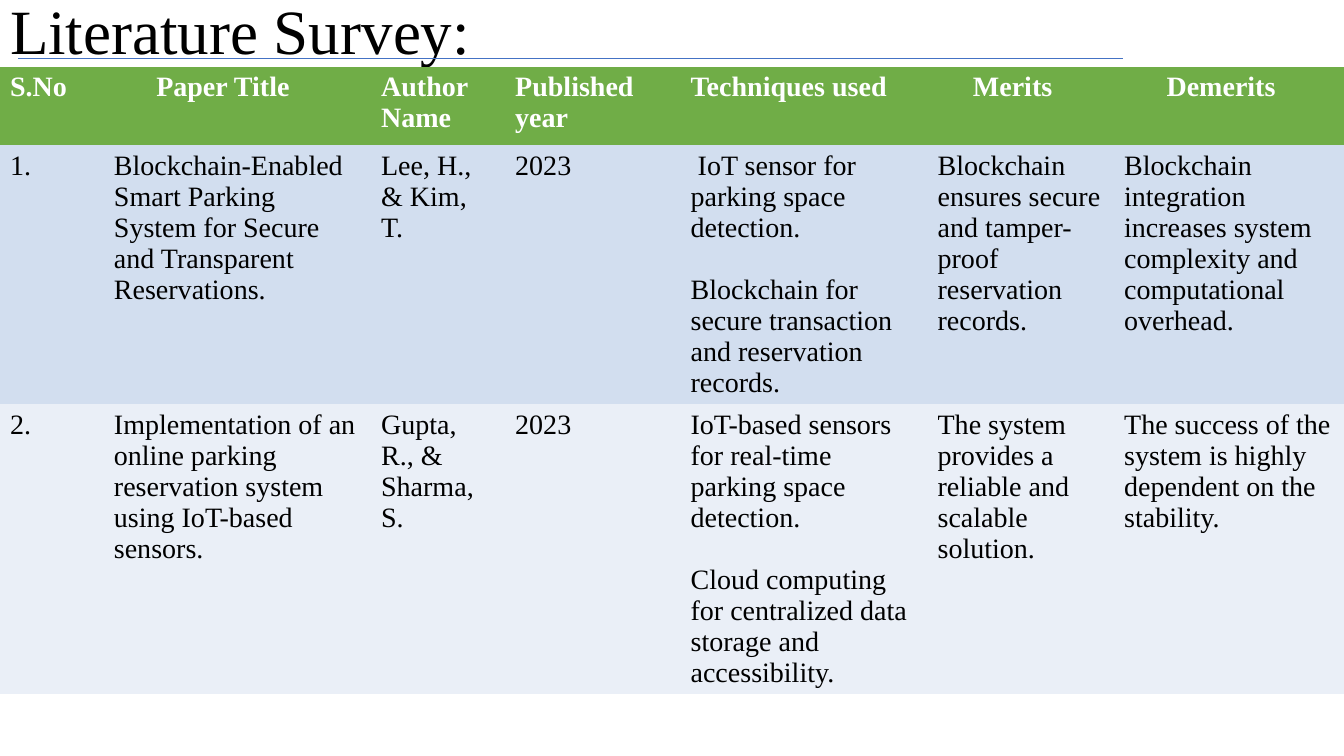
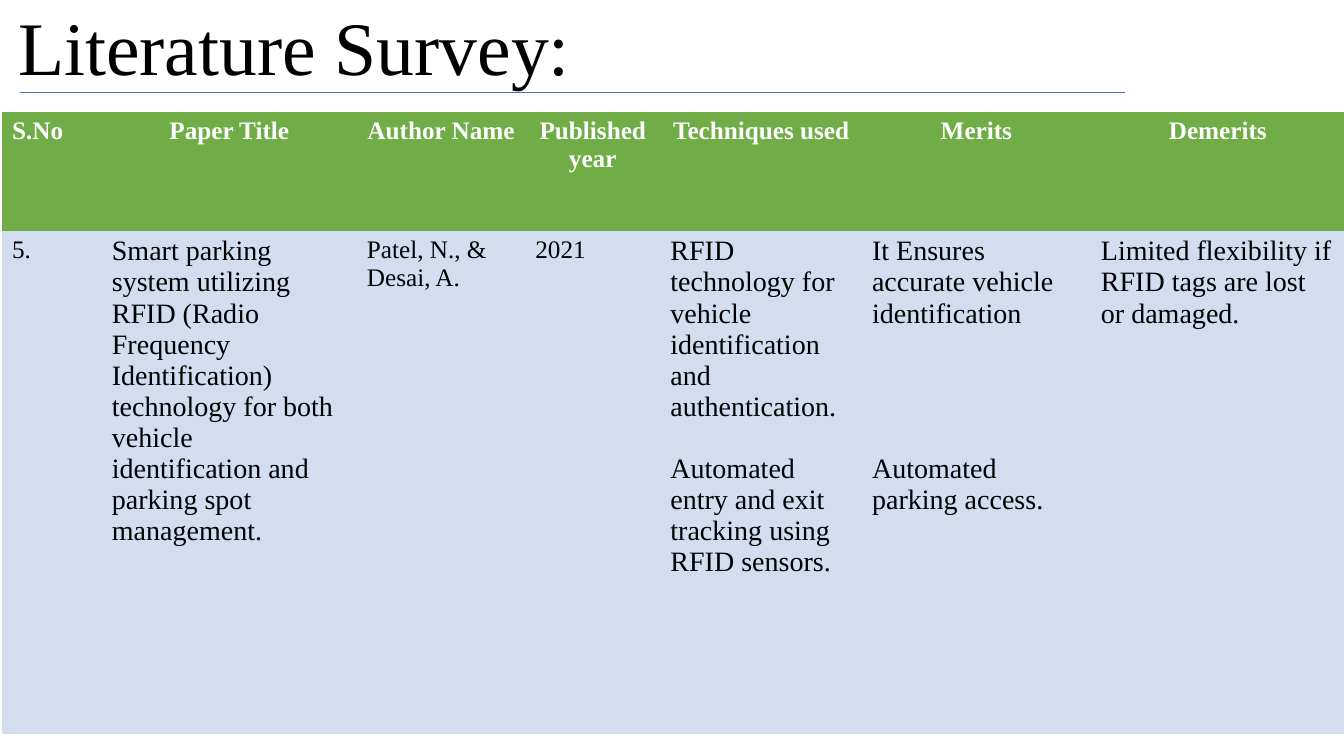
"""Build the two literature survey slides."""
from lxml.etree import SubElement
from pptx import Presentation
from pptx.dml.color import RGBColor
from pptx.enum.shapes import MSO_CONNECTOR
from pptx.enum.text import MSO_ANCHOR, MSO_AUTO_SIZE, PP_ALIGN as Align
from pptx.oxml.ns import qn
from pptx.util import Inches, Pt

FONT = "Times New Roman"
BLACK = RGBColor(0x00, 0x00, 0x00)
WHITE = RGBColor(0xFF, 0xFF, 0xFF)
GREEN = RGBColor(0x70, 0xAD, 0x47)
BLUE = RGBColor(0x44, 0x72, 0xC4)
BANDS = (RGBColor(0xD2, 0xDE, 0xEF), RGBColor(0xEA, 0xEF, 0xF7))
PLAIN_TABLE = "{2D5ABB26-0587-4C30-8999-92F81FD0307C}"
BODY_SIZE = 20
BLANK_LINE = 22.2
RULE_WIDTH = 10.96

TITLE = "Literature Survey:"
HEADERS = ("S.No", "Paper Title", "Author Name", "Published year",
           "Techniques used", "Merits", "Demerits")

SURVEYS = [
    {
        "title_box": (0, -0.02, 12.15, 0.75),
        "title_size": 45,
        "rule_start": (0.18, 0.58),
        "table_origin": (0, 0.66),
        "columns": (1.03, 2.65, 1.33, 1.74, 2.45, 1.85, 2.3),
        "rows": (0.78, 2.57, 2.87),
        "header_size": 20,
        "header_align": Align.LEFT,
        "small_columns": (),
        "indents": {(0, 1): 0.42, (0, 5): 0.35, (0, 6): 0.42, (1, 4): 0.07},
        "blank_lines": {},
        "papers": [
            ("1.",
             "Blockchain-Enabled Smart Parking System for Secure and Transparent Reservations.",
             "Lee, H., & Kim, T.",
             "2023",
             ("IoT sensor for parking space detection.",
              "Blockchain for secure transaction and reservation records."),
             "Blockchain ensures secure and tamper-proof reservation records.",
             "Blockchain integration increases system complexity and computational overhead."),
            ("2.",
             "Implementation of an online parking reservation system using IoT-based sensors.",
             "Gupta, R., & Sharma, S.",
             "2023",
             ("IoT-based sensors for real-time parking space detection.",
              "Cloud computing for centralized data storage and accessibility."),
             "The system provides a reliable and scalable solution.",
             "The success of the system is highly dependent on the stability."),
        ],
    },
    {
        "title_box": (0.08, 0.07, 12.33, 0.89),
        "title_size": 54,
        "rule_start": (0.2, 0.92),
        "table_origin": (0.02, 1.11),
        "columns": (0.99, 2.53, 1.67, 1.34, 2, 2.27, 2.52),
        "rows": (1.18, 4.99),
        "header_size": 18,
        "header_align": Align.CENTER,
        "small_columns": (0, 2, 3),
        "indents": {},
        "blank_lines": {5: 4},
        "papers": [
            ("5.",
             "Smart parking system utilizing RFID (Radio Frequency Identification) technology "
             "for both vehicle identification and parking spot management.",
             "Patel, N., & Desai, A.",
             "2021",
             ("RFID technology for vehicle identification and authentication.",
              "Automated entry and exit tracking using RFID sensors."),
             ("It Ensures accurate vehicle identification", "Automated parking access."),
             "Limited flexibility if RFID tags are lost or damaged."),
        ],
    },
]


def write(para, text, size, color, bold=False):
    """Add one formatted run to a paragraph."""
    span = para.add_run()
    span.text = text
    for name, value in {"name": FONT, "size": Pt(size), "bold": bold}.items():
        setattr(span.font, name, value)
    span.font.color.rgb = color


def add_title(page, survey):
    """Place and format the title placeholder."""
    title = page.shapes.title
    for name, value in zip(("left", "top", "width", "height"), survey["title_box"]):
        setattr(title, name, Inches(value))
    frame = title.text_frame
    for name, value in {"word_wrap": True, "auto_size": MSO_AUTO_SIZE.NONE,
                        "vertical_anchor": MSO_ANCHOR.BOTTOM}.items():
        setattr(frame, name, value)
    para = frame.paragraphs[0]
    para.alignment, para.line_spacing = Align.LEFT, 0.9
    write(para, TITLE, survey["title_size"], BLACK)


def fill_cell(cell, content, row, column, survey):
    """Write the paragraphs of one table cell and colour its band."""
    header = row == 0
    cell.fill.solid()
    cell.fill.fore_color.rgb = GREEN if header else BANDS[(row - 1) % len(BANDS)]
    size = BODY_SIZE
    if header or column in survey["small_columns"]:
        size = survey["header_size"]
    frame = cell.text_frame
    for index, text in enumerate((content,) if isinstance(content, str) else content):
        para = frame.add_paragraph() if index else frame.paragraphs[0]
        para.alignment = survey["header_align"] if header and column else Align.LEFT
        if index:
            para.space_before = Pt(BLANK_LINE * survey["blank_lines"].get(column, 1))
        elif (row, column) in survey["indents"]:
            indent = Inches(survey["indents"][row, column])
            para._p.get_or_add_pPr().set("indent", str(indent))
        write(para, text, size, WHITE if header else BLACK, header)


def add_survey_table(page, survey):
    """Add the table of surveyed papers."""
    columns, rows = survey["columns"], survey["rows"]
    box = page.shapes.add_table(
        len(rows), len(columns), *map(Inches, survey["table_origin"]),
        Inches(sum(columns)), Inches(sum(rows)))
    table = box.table
    table.horz_banding = False
    next(table._tbl.iter(qn("a:tableStyleId"))).text = PLAIN_TABLE
    for column, width in zip(table.columns, columns):
        column.width = Inches(width)
    for row, height in zip(table.rows, rows):
        row.height = Inches(height)
    for row, contents in enumerate([HEADERS, *survey["papers"]]):
        for column, content in enumerate(contents):
            fill_cell(table.cell(row, column), content, row, column, survey)


def add_rule(page, survey):
    """Draw the thin rule under the title."""
    left, top = survey["rule_start"]
    rule = page.shapes.add_connector(
        MSO_CONNECTOR.STRAIGHT, *map(Inches, (left, top, left + RULE_WIDTH, top)))
    rule.line.color.rgb = BLUE
    rule.line.width = Pt(0.5)
    SubElement(rule._element.spPr, qn("a:effectLst"))


def main():
    """Create and save the deck."""
    deck = Presentation()
    deck.slide_width, deck.slide_height = Inches(13.33), Inches(7.5)
    title_only = deck.slide_layouts.get_by_name("Title Only")
    for survey in SURVEYS:
        page = deck.slides.add_slide(title_only)
        for add_part in (add_title, add_survey_table, add_rule):
            add_part(page, survey)
    deck.save("out.pptx")


if __name__ == "__main__":
    main()
